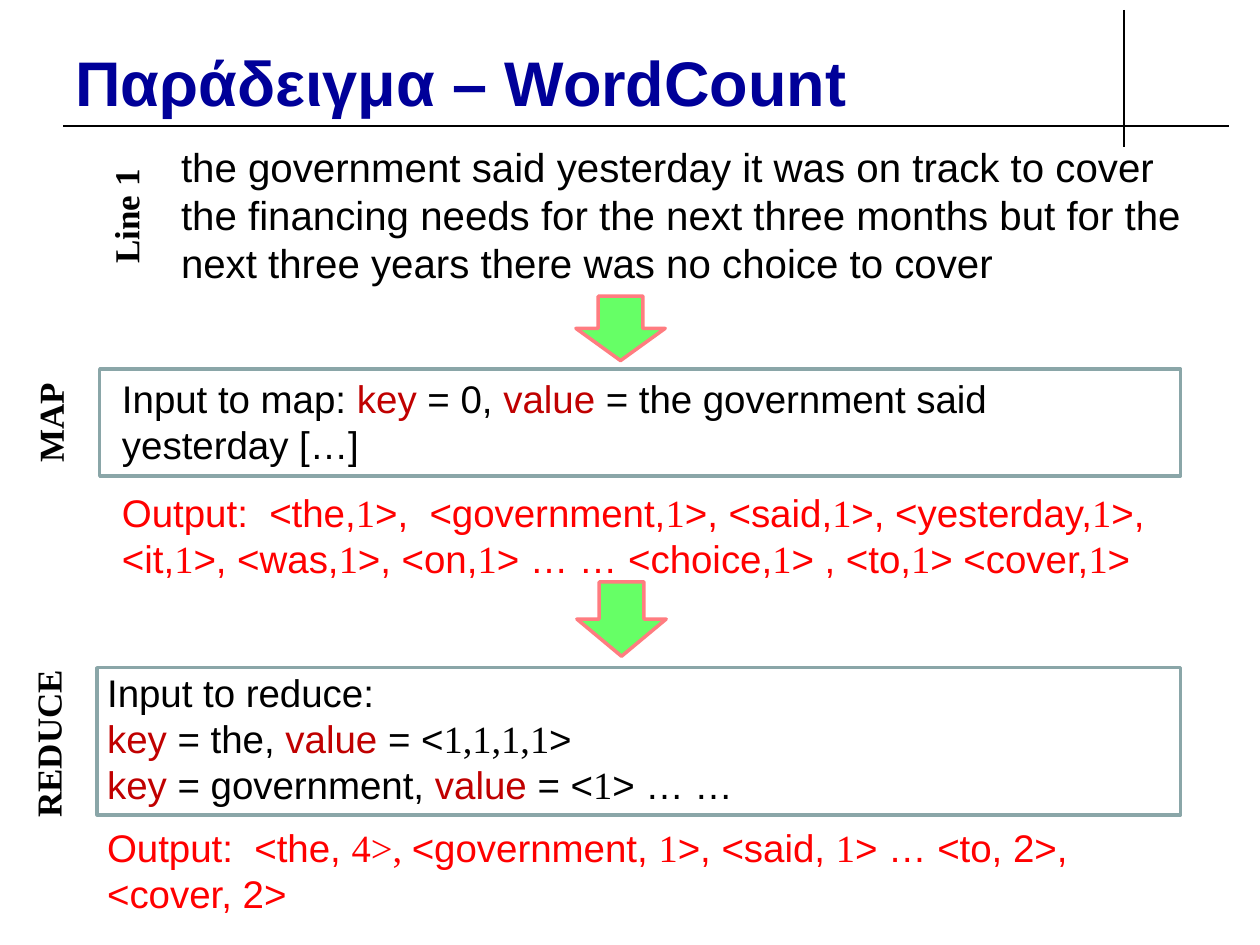
from dataclasses import dataclass

from lxml import etree
from pptx import Presentation
from pptx.dml.color import RGBColor
from pptx.enum.shapes import MSO_CONNECTOR, MSO_SHAPE
from pptx.enum.text import MSO_ANCHOR
from pptx.oxml.ns import qn
from pptx.util import Cm, Pt

STRAIGHT = MSO_CONNECTOR.STRAIGHT
RECTANGLE = MSO_SHAPE.RECTANGLE
DOWN_ARROW = MSO_SHAPE.DOWN_ARROW
MIDDLE = MSO_ANCHOR.MIDDLE


@dataclass(frozen=True)
class Theme:
    sans: str = "Arial"
    serif: str = "Times New Roman"
    ink: str = "000000"
    title: str = "000099"
    accent: str = "C00000"
    output: str = "FF0000"
    frame: str = "8AA6A8"
    arrow_fill: str = "66FF66"
    arrow_line: str = "FF7C80"
    title_size: int = 36
    input_size: int = 23
    step_size: int = 22
    label_size: int = 20
    rule_width: float = 1.5
    outline_width: int = 2


class SlideBuilder:
    def __init__(self, slide, theme):
        self.s = slide
        self.theme = theme

    def rule(self, x1, y1, x2, y2):
        """Draw a straight black line."""
        line = self.s.shapes.add_connector(STRAIGHT, Cm(x1), Cm(y1), Cm(x2), Cm(y2))
        line.line.color.rgb = RGBColor.from_string(self.theme.ink)
        line.line.width = Pt(self.theme.rule_width)
        etree.SubElement(line.element.spPr, qn("a:effectLst"))

    def shape(self, kind, x, y, w, h, line, fill=None):
        sp = self.s.shapes.add_shape(kind, Cm(x), Cm(y), Cm(w), Cm(h))
        sp.shadow.inherit = False
        if fill:
            sp.fill.solid()
            sp.fill.fore_color.rgb = RGBColor.from_string(fill)
        else:
            sp.fill.background()
        sp.line.color.rgb = RGBColor.from_string(line)
        sp.line.width = Pt(self.theme.outline_width)

    def frame(self, x, y, w, h):
        self.shape(RECTANGLE, x, y, w, h, self.theme.frame)

    def arrow(self, x, y, h):
        self.shape(DOWN_ARROW, x, y, 1.8, h, self.theme.arrow_line, self.theme.arrow_fill)

    def text_box(self, x, y, w, h):
        tb = self.s.shapes.add_textbox(Cm(x), Cm(y), Cm(w), Cm(h))
        tb.text_frame.word_wrap = True
        return tb

    def style(self, p, size, color, font, bold=False):
        p.font.size = Pt(size)
        p.font.bold = bold
        p.font.name = font
        p.font.color.rgb = RGBColor.from_string(color)

    def marked_runs(self, p, text):
        """Add runs to p: *text* takes the accent colour, _text_ the serif font."""
        for i, part in enumerate(text.split("*")):
            for j, piece in enumerate(part.split("_")):
                if not piece:
                    continue
                r = p.add_run()
                r.text = piece
                if i % 2:
                    r.font.color.rgb = RGBColor.from_string(self.theme.accent)
                if j % 2:
                    r.font.name = self.theme.serif

    def title(self, text, x, y, w, h):
        t = self.theme
        tf = self.text_box(x, y, w, h).text_frame
        tf.vertical_anchor = MIDDLE
        p = tf.paragraphs[0]
        p.text = text
        self.style(p, t.title_size, t.title, t.sans, bold=True)

    def body(self, lines, x, y, w, h, size, output=None, gap=0):
        """Write the lines, then the output in red after a gap in points."""
        t = self.theme
        tf = self.text_box(x, y, w, h).text_frame
        entries = [(line, t.ink, 0) for line in lines]
        if output:
            entries.append((output, t.output, gap))
        for i, (text, color, before) in enumerate(entries):
            p = tf.add_paragraph() if i else tf.paragraphs[0]
            p.space_before = Pt(before)
            self.style(p, size, color, t.sans)
            self.marked_runs(p, text)

    def side_label(self, text, cx, cy, length):
        """Write a label around its centre, reading upwards."""
        t = self.theme
        height = 1.12
        tb = self.text_box(cx - length / 2, cy - height / 2, length, height)
        tb.rotation = 270
        p = tb.text_frame.paragraphs[0]
        p.text = text
        self.style(p, t.label_size, t.ink, t.serif, bold=True)


def main():
    prs = Presentation()
    prs.slide_width, prs.slide_height = Cm(25.4), Cm(19.05)
    theme = Theme()
    b = SlideBuilder(prs.slides.add_slide(prs.slide_layouts[6]), theme)

    b.rule(22.66, 0.2, 22.66, 2.97)
    b.rule(1.27, 2.54, 24.77, 2.54)
    b.title("Παράδειγμα – WordCount", 1.27, 0.43, 21.16, 2.41)

    b.body(
        ["the government said yesterday it was on track to cover the financing "
         "needs for the next three months but for the next three years there "
         "was no choice to cover"],
        3.4, 2.74, 20.8, 3.2, theme.input_size,
    )

    b.arrow(11.61, 5.97, 1.3)
    b.frame(2.01, 7.44, 21.79, 2.16)
    b.body(
        ["Input to map: *key* = 0, *value* = the government said yesterday […]"],
        2.21, 7.44, 21.29, 4.45, theme.step_size,
        output="Output:  <the,_1_>,  <government,_1_>, <said,_1_>, <yesterday,_1_>, "
               "<it,_1_>, <was,_1_>, <on,_1_> … … <choice,_1_> , <to,_1_> <cover,_1_>",
        gap=12,
    )

    b.arrow(11.63, 11.73, 1.5)
    b.frame(1.96, 13.46, 21.84, 2.97)
    b.body(
        ["Input to reduce:",
         "*key* = the, *value* = <_1,1,1,1_>",
         "*key* = government, *value* = <_1_> … …"],
        1.91, 13.36, 22.3, 5.31, theme.step_size,
        output="Output:  <the, _4>, _<government, _1_>, <said, _1_> … <to, 2>, <cover, 2>",
        gap=9.5,
    )

    for text, cx, cy, length in [
        ("Line 1", 2.54, 4.27, 2.59),
        ("MAP", 1.02, 8.28, 2.59),
        ("REDUCE", 0.97, 14.88, 3.71),
    ]:
        b.side_label(text, cx, cy, length)

    prs.save("out.pptx")


if __name__ == "__main__":
    main()
